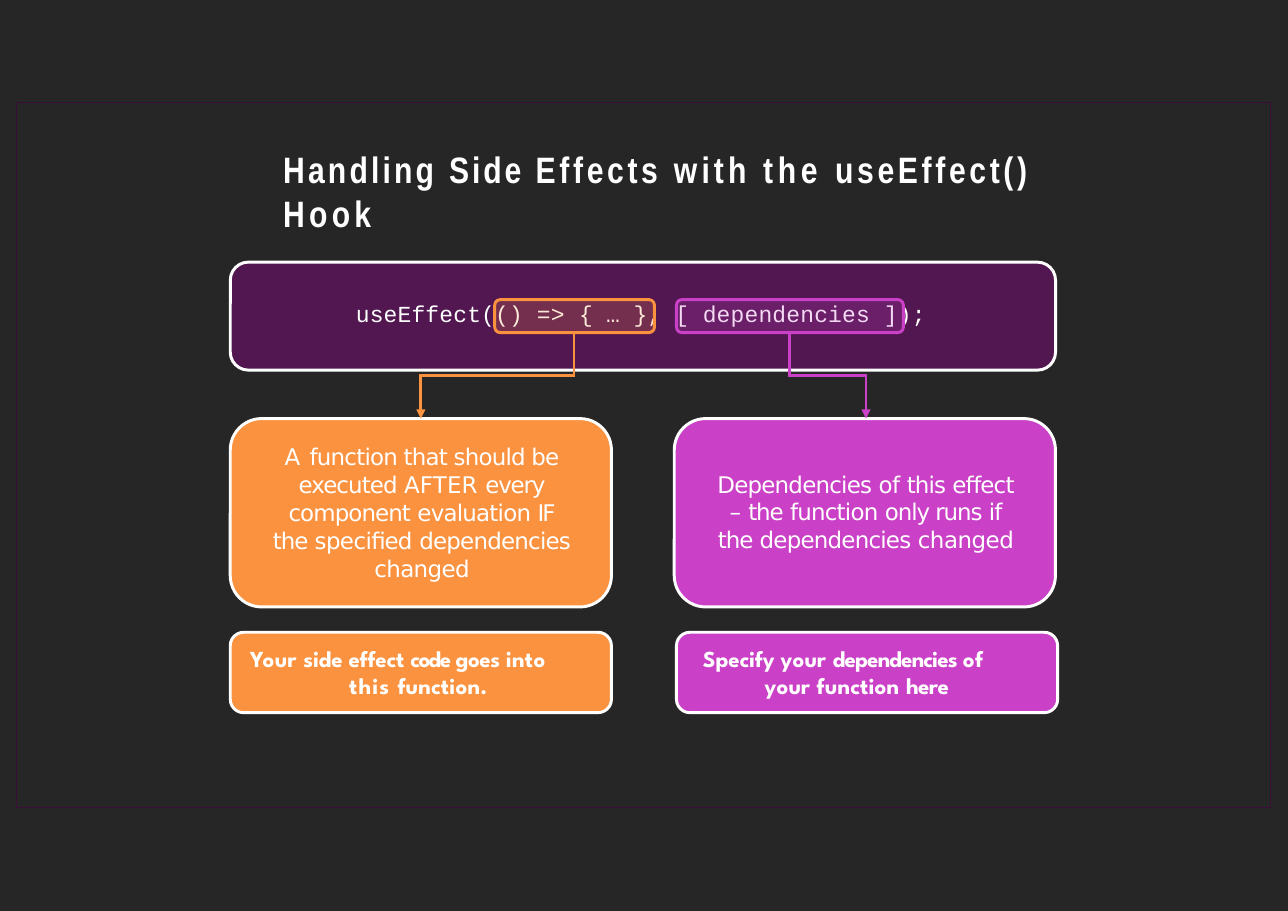
from itertools import pairwise

from lxml import etree
from pptx import Presentation
from pptx.dml.color import RGBColor
from pptx.enum.shapes import MSO_CONNECTOR, MSO_SHAPE
from pptx.enum.text import PP_ALIGN
from pptx.oxml.ns import qn
from pptx.util import Pt

PX = 9144  # 100 px to the inch
RECTANGLE, ROUNDED = MSO_SHAPE.RECTANGLE, MSO_SHAPE.ROUNDED_RECTANGLE
STRAIGHT = MSO_CONNECTOR.STRAIGHT
LEFT, CENTER = PP_ALIGN.LEFT, PP_ALIGN.CENTER

COLORS = {
    "background": "262626",
    "frame": "3A0E39",
    "code": "521751",
    "function": "FA923F",
    "dependencies": "CA41C7",
    "white": "FFFFFF",
}
TITLE_FONT, CODE_FONT = "Arial Narrow", "Courier New"
BODY_FONT, NOTE_FONT = "DejaVu Sans", "League Spartan"
LINE_WIDTH = 1.92


def rgb(name):
    return RGBColor.from_string(COLORS[name])


class HookSlide:
    def __init__(self, deck):
        self.page = deck.slides.add_slide(deck.slide_layouts[6])
        fill = self.page.background.fill
        fill.solid()
        fill.fore_color.rgb = rgb("background")

    def box(self, place, fill=None, line="white", width=LINE_WIDTH,
            kind=ROUNDED, opacity=100):
        box = self.page.shapes.add_shape(kind, *(PX * n for n in place))
        box.shadow.inherit = False
        box.line.color.rgb = rgb(line)
        box.line.width = Pt(width)
        if fill is None:
            box.fill.background()
            return
        box.fill.solid()
        box.fill.fore_color.rgb = rgb(fill)
        if opacity < 100:
            color = box.fill._xPr.find(".//" + qn("a:srgbClr"))
            etree.SubElement(color, qn("a:alpha"), val=str(opacity * 1000))

    def text(self, place, lines, font, size=15, bold=False, align=LEFT,
             hanging=0, spacing=None):
        """Each line is a list of (wording, letter spacing in points)."""
        box = self.page.shapes.add_textbox(*(PX * n for n in place))
        frame = box.text_frame
        frame.word_wrap = True
        frame.margin_left = frame.margin_right = frame.margin_bottom = 0
        frame.margin_top = PX
        para = frame.paragraphs[0]
        para.alignment = align
        para.space_before = Pt(1)
        if spacing:
            para.line_spacing = spacing
        properties = para._p.get_or_add_pPr()
        properties.set("marL", str(PX * (hanging + 1)))
        properties.set("indent", str(-PX * hanging))
        for number, line in enumerate(lines):
            if number:
                para.add_line_break()
            for wording, tracking in line:
                span = para.add_run()
                span.text = wording
                span.font.name = font
                span.font.size = Pt(size)
                span.font.bold = bold
                span.font.color.rgb = rgb("white")
                span._r.get_or_add_rPr().set("spc", str(round(tracking * 100)))

    def arrow(self, points, color):
        """An elbow of straight pieces with a head on the last one."""
        for start, end in pairwise(points):
            piece = self.page.shapes.add_connector(
                STRAIGHT, *(PX * n for n in start + end))
            piece.line.color.rgb = rgb(color)
            piece.line.width = Pt(LINE_WIDTH)
            etree.SubElement(piece._element.spPr, qn("a:effectLst"))
            outline = piece.line._get_or_add_ln()
            if end == points[-1]:
                etree.SubElement(outline, qn("a:tailEnd"), type="triangle")
            else:
                outline.set("cap", "sq")


def main():
    deck = Presentation()
    deck.slide_width, deck.slide_height = 1169 * PX, 827 * PX
    slide = HookSlide(deck)

    # Frame and title
    slide.box((15, 93, 1138, 640), line="frame", width=0.85, kind=RECTANGLE)
    slide.text((256, 132, 761, 43), [[
        ("Handling ", 2.1), ("Side ", 1.9), ("Effects ", 2.4), ("with ", 2.7),
        ("the ", 3), ("useEffect() ", 2.4), ("Hook", 2.8),
    ]], TITLE_FONT, size=24, bold=True)

    # Code line
    slide.box((209, 238, 749, 98), "code")
    slide.text((322, 271, 525, 28), [[
        ("useEffect(() => ", 0.1), ("{ … ", -0.1), ("}, ", 0.1),
        ("[ ", -0.1), ("dependencies ]);", 0.1),
    ]], CODE_FONT)

    # Per argument: explanation box, code highlight, arrow, note box
    arguments = [
        ("function", 209, (449, 145), 382, 209),
        ("dependencies", 612, (614, 206), 786, 614),
    ]
    for color, left, (mark_left, mark_width), target, note_left in arguments:
        slide.box((left, 380, 346, 171), color)
        slide.box((mark_left, 272, mark_width, 30), color, line=color, opacity=20)
        source = mark_left + mark_width // 2
        slide.arrow([(source, 302), (source, 341), (target, 341), (target, 380)],
                    color)
        slide.box((note_left, 574, 346, 73), color)

    # Explanations
    slide.text((242, 400, 281, 130), [
        [("A ", 0.7), ("function that should be", -0.5)],
        [("executed ", -0.6), ("AFTER ", 0.1), ("every", -0.8)],
        [("component ", -0.6), ("evaluation ", -0.5), ("IF", -1.4)],
        [("the ", -0.7), ("specified ", -0.4), ("dependencies", -0.5)],
        [("changed", -0.4)],
    ], BODY_FONT, align=CENTER, spacing=1.02)
    slide.text((643, 426, 285, 78), [
        [("Dependencies ", -0.5), ("of ", -0.4), ("this ", -0.6), ("effect", -0.5)],
        [("– ", 0), ("the ", -0.7), ("function ", -0.5), ("only runs ", -0.7),
         ("if", -0.5)],
        [("the ", -0.7), ("dependencies ", -0.5), ("changed", -0.3)],
    ], BODY_FONT, align=CENTER)

    # Notes
    slide.text((226, 584, 313, 53), [
        [("Your ", 0.2), ("side effect ", -0.1), ("code ", -1.1),
         ("goes ", -0.3), ("into", 0.2)],
        [("this ", 0.7), ("function.", 0.1)],
    ], NOTE_FONT, bold=True, hanging=90)
    slide.text((637, 584, 299, 53), [
        [("Specify ", -0.1), ("your ", 0.1), ("dependencies ", -0.6), ("of", 0.3)],
        [("your function ", 0.1), ("here", -0.3)],
    ], NOTE_FONT, bold=True, hanging=56)

    deck.save("out.pptx")


if __name__ == "__main__":
    main()
